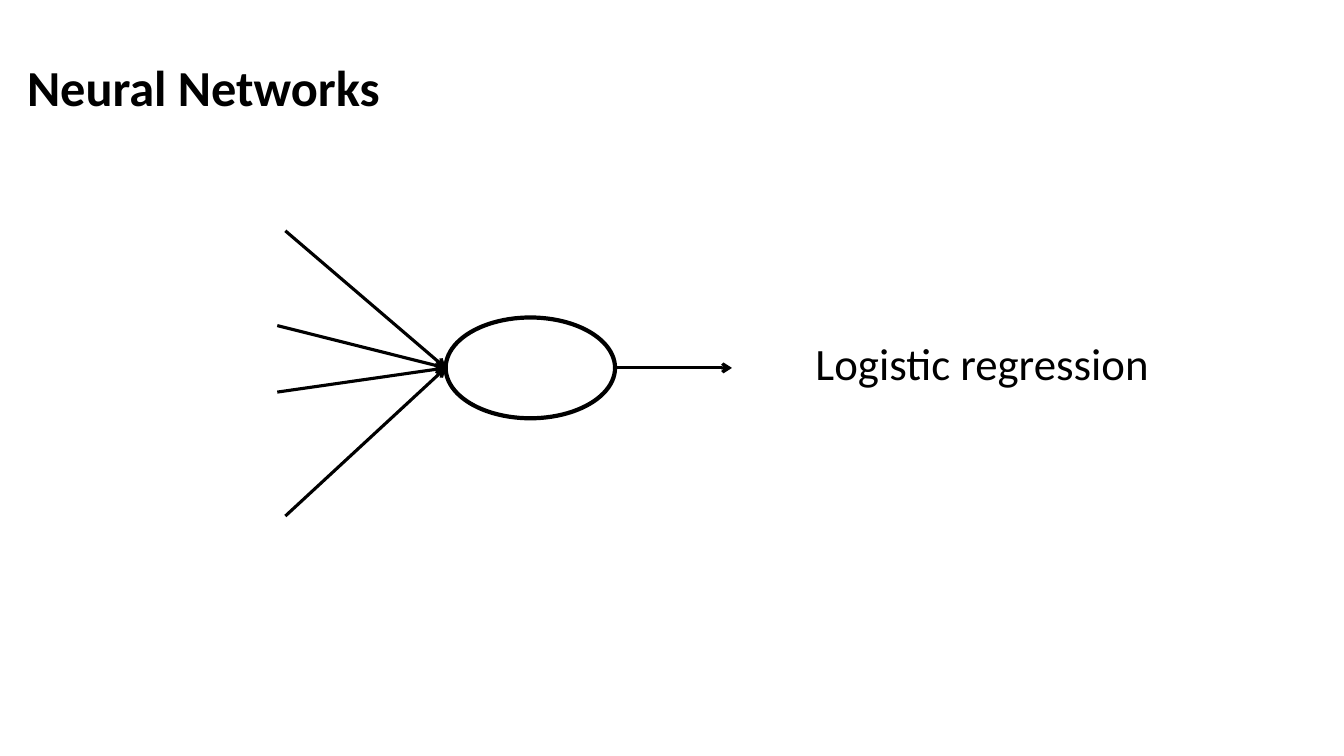
"""Builds a slide showing logistic regression as a single neuron."""
import pptx
import pptx.dml.color
import pptx.enum.shapes
import pptx.enum.text
import pptx.oxml.ns
import pptx.util
import lxml.etree

Inches = pptx.util.Inches
COLOURS = {"ink": "000000", "paper": "FFFFFF"}


def colour(name):
    return pptx.dml.color.RGBColor.from_string(COLOURS[name])


class NeuronSlide:
    font_name = "Calibri"
    line_spacing = 0.9

    def __init__(self, deck):
        self.slide = deck.slides.add_slide(deck.slide_layouts[6])

    def text(self, wording, left, top, width, height, size, bold=False):
        box = self.slide.shapes.add_textbox(*map(Inches, (left, top, width, height)))
        frame = box.text_frame
        frame.word_wrap = True
        frame.vertical_anchor = pptx.enum.text.MSO_ANCHOR.BOTTOM
        paragraph = frame.paragraphs[0]
        paragraph.line_spacing = self.line_spacing
        run = paragraph.add_run()
        run.text = wording
        style = {"name": self.font_name, "size": pptx.util.Pt(size), "bold": bold}
        for attribute, value in style.items():
            setattr(run.font, attribute, value)
        run.font.color.rgb = colour("ink")

    def neuron(self, left, top, width, height):
        body = self.slide.shapes.add_shape(
            pptx.enum.shapes.MSO_SHAPE.FLOWCHART_CONNECTOR,
            *map(Inches, (left, top, width, height)))
        body.shadow.inherit = False
        body.fill.solid()
        body.fill.fore_color.rgb = colour("paper")
        body.line.color.rgb = colour("ink")
        body.line.width = pptx.util.Pt(3)

    def arrow(self, start, end):
        signal = self.slide.shapes.add_connector(
            pptx.enum.shapes.MSO_CONNECTOR.STRAIGHT, *map(Inches, (*start, *end)))
        signal.line.color.rgb = colour("ink")
        signal.line.width = pptx.util.Pt(2.25)
        qn = pptx.oxml.ns.qn
        lxml.etree.SubElement(signal.line._get_or_add_ln(), qn("a:tailEnd"), type="arrow")
        lxml.etree.SubElement(signal._element.spPr, qn("a:effectLst"))


def main():
    deck = pptx.Presentation()
    deck.slide_width, deck.slide_height = Inches(13.33), Inches(7.5)
    page = NeuronSlide(deck)
    page.text("Neural Networks", 0.17, 0.21, 12.74, 1, 36, bold=True)

    left, top, width, height = 4.42, 3.15, 1.68, 1
    middle = top + height / 2
    page.neuron(left, top, width, height)
    inputs = [(2.83, 2.29), (2.75, 3.23), (2.75, 3.89), (2.83, 5.12)]
    for start in inputs:
        page.arrow(start, (left, middle))
    page.arrow((left + width, middle), (7.26, middle))

    page.text("Logistic regression", 7.99, 3.36, 3.63, 0.56, 32)
    deck.save("out.pptx")


if __name__ == "__main__":
    main()
